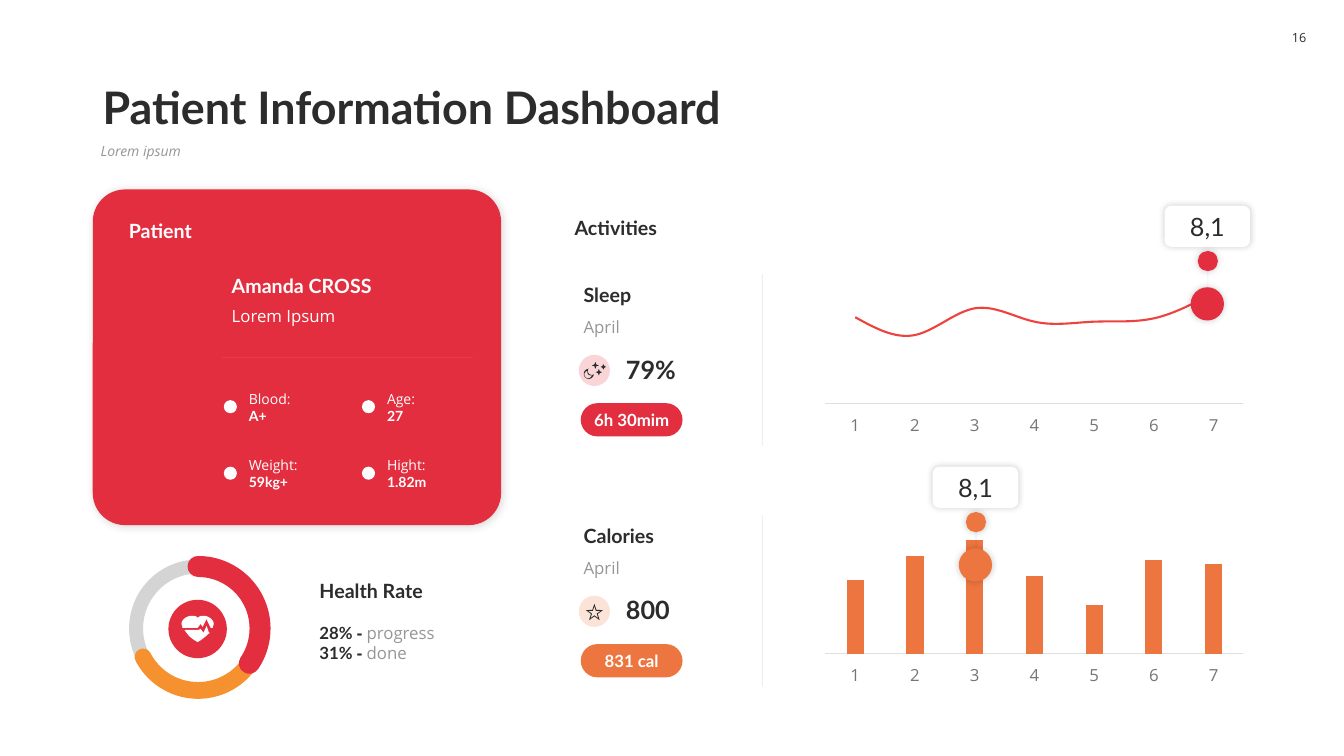
import math
from dataclasses import dataclass

from lxml import etree
from pptx import Presentation
from pptx.chart.data import CategoryChartData
from pptx.dml.color import RGBColor
from pptx.enum.chart import XL_CHART_TYPE, XL_TICK_LABEL_POSITION, XL_TICK_MARK
from pptx.enum.shapes import MSO_CONNECTOR, MSO_SHAPE
from pptx.enum.text import MSO_ANCHOR, PP_ALIGN
from pptx.oxml import parse_xml
from pptx.oxml.ns import qn
from pptx.util import Pt

PX = 9144  # EMU in one px, 100 px to the inch
LEFT, CENTER = PP_ALIGN.LEFT, PP_ALIGN.CENTER
TOP, MIDDLE, BOTTOM = MSO_ANCHOR.TOP, MSO_ANCHOR.MIDDLE, MSO_ANCHOR.BOTTOM
ROUNDED, OVAL, ARC = MSO_SHAPE.ROUNDED_RECTANGLE, MSO_SHAPE.OVAL, MSO_SHAPE.ARC
LINE, COLUMN = XL_CHART_TYPE.LINE, XL_CHART_TYPE.COLUMN_CLUSTERED
STRAIGHT = MSO_CONNECTOR.STRAIGHT
NO_TICK, LOW = XL_TICK_MARK.NONE, XL_TICK_LABEL_POSITION.LOW
DRAWING = "http://schemas.openxmlformats.org/drawingml/2006/main"
CHART = "http://schemas.openxmlformats.org/drawingml/2006/chart"


@dataclass(frozen=True)
class Theme:
    red: str = "E22E3F"
    curve: str = "EE423E"
    orange: str = "ED753F"
    amber: str = "F5922F"
    dark: str = "2C2C2C"
    grey: str = "969696"
    label: str = "767676"
    axis: str = "DFDFDF"
    white: str = "FFFFFF"
    heading: str = "Lato"
    body: str = "Open Sans"
    title: int = 32
    value: int = 18
    section: int = 14
    text: int = 12
    small: int = 10
    page: int = 9


THEME = Theme()


def run(text, size, color=THEME.dark, font=THEME.heading, bold=False, italic=False):
    return text, size, color, font, bold, italic


def write(shape, paragraphs, anchor=TOP, align=LEFT, spacing=None):
    frame = shape.text_frame
    frame.word_wrap = True
    frame.vertical_anchor = anchor
    for index, runs in enumerate(paragraphs):
        paragraph = frame.add_paragraph() if index else frame.paragraphs[0]
        paragraph.alignment = align
        paragraph.line_spacing = spacing
        for text, size, color, font, bold, italic in runs:
            part = paragraph.add_run()
            part.text = text
            part.font.size, part.font.name = Pt(size), font
            part.font.bold, part.font.italic = bold, italic
            part.font.color.rgb = RGBColor.from_string(color)


def add_text(slide, box, *paragraphs, anchor=TOP, spacing=None):
    write(slide.shapes.add_textbox(*(n * PX for n in box)), paragraphs, anchor, spacing=spacing)


def set_alpha(parent, percent):
    color = next(parent.iter(qn("a:srgbClr")))
    etree.SubElement(color, qn("a:alpha"), val=str(percent * 1000))


def add_shadow(shape, percent, blur, distance):
    effects = shape.element.spPr.find(qn("a:effectLst"))
    effects.append(parse_xml(
        f'<a:outerShdw xmlns:a="{DRAWING}" blurRad="{Pt(blur)}" dist="{Pt(distance)}" dir="2700000">'
        f'<a:srgbClr val="000000"><a:alpha val="{percent * 1000}"/></a:srgbClr></a:outerShdw>'))


def add_solid(slide, kind, box, color, corner=None, alpha=None):
    shape = slide.shapes.add_shape(kind, *(n * PX for n in box))
    shape.shadow.inherit = False
    shape.fill.solid()
    shape.fill.fore_color.rgb = RGBColor.from_string(color)
    shape.line.fill.background()
    if corner is not None:
        shape.adjustments[0] = corner
    if alpha:
        set_alpha(shape.element.spPr, alpha)
    return shape


def add_stroke(slide, kind, box, color, width):
    shape = slide.shapes.add_shape(kind, *(n * PX for n in box))
    shape.shadow.inherit = False
    shape.fill.background()
    shape.line.color.rgb = RGBColor.from_string(color)
    shape.line.width = Pt(width)
    return shape


def add_hairline(slide, x1, y1, x2, y2, color):
    line = slide.shapes.add_connector(STRAIGHT, x1 * PX, y1 * PX, x2 * PX, y2 * PX)
    line.line.color.rgb = RGBColor.from_string(color)
    line.line.width = Pt(0.5)
    set_alpha(line.element.spPr, 10)
    etree.SubElement(line.element.spPr, qn("a:effectLst"))


def add_outline(slide, left, top, color, *contours):
    """Fill closed contours whose points are px offsets from left, top."""
    fine = [[((left + x) * 100, (top + y) * 100) for x, y in points] for points in contours]
    builder = slide.shapes.build_freeform(*fine[0][0], scale=PX / 100)
    for index, points in enumerate(fine):
        if index:
            builder.move_to(*points[0])
        builder.add_line_segments(points[1:], close=True)
    shape = builder.convert_to_shape()
    shape.shadow.inherit = False
    shape.fill.solid()
    shape.fill.fore_color.rgb = RGBColor.from_string(color)
    shape.line.fill.background()


def bend(segments, steps=8):
    """Turn points and six-number Bézier segments into plain points."""
    points = []
    for segment in segments:
        if len(segment) == 2:
            points.append(segment)
            continue
        corners = [points[-1], segment[:2], segment[2:4], segment[4:]]
        for step in range(1, steps + 1):
            t = step / steps
            weights = [(1 - t) ** 3, 3 * t * (1 - t) ** 2, 3 * t * t * (1 - t), t ** 3]
            points.append(tuple(sum(w * c[axis] for w, c in zip(weights, corners)) for axis in (0, 1)))
    return points


def arc_points(x, y, radius, start, end, steps=16):
    angles = [math.radians(start + (end - start) * i / steps) for i in range(steps + 1)]
    return [(x + radius * math.cos(a), y + radius * math.sin(a)) for a in angles]


def star_points(x, y, tips, outer, inner):
    return [arc_points(x, y, inner if i % 2 else outer, i * 180 / tips - 90, 0, 1)[0]
            for i in range(tips * 2)]


def moon_icon(slide, left, top):
    moon = arc_points(10, 19, 5, 5, 270) + arc_points(13, 16, 4, 214, 63)
    hollow = [(7.5 + (x - 7.5) * 0.75, 21.5 + (y - 21.5) * 0.75) for x, y in moon]
    add_outline(slide, left, top, THEME.dark, moon, hollow)
    for x, y, radius in ((24.5, 12, 2.7), (16.5, 10.5, 3.5), (20, 17.3, 3.3)):
        add_outline(slide, left, top, THEME.dark, star_points(x, y, 4, radius, 1.3))


def star_icon(slide, left, top):
    add_outline(slide, left, top, THEME.dark,
                star_points(15.5, 17, 5, 9, 3.5), star_points(15.5, 17, 5, 6.6, 2.5))


def header(slide, left, top):
    add_text(slide, (left, top + 80, 1152, 36),
             [run("Lorem ipsum", THEME.small, THEME.grey, THEME.body, italic=True)], spacing=0.9)
    add_text(slide, (left + 2, top, 1150, 80),
             [run("Patient Information Dashboard", THEME.title, bold=True)], anchor=BOTTOM, spacing=0.9)
    number = add_solid(slide, ROUNDED, (1269, 18, 39, 39), THEME.white)
    number.text_frame.margin_left = number.text_frame.margin_right = 0
    write(number, [[run("16", THEME.page, font=THEME.body)]], MIDDLE, CENTER)


def patient_card(slide, left, top, width, height):
    card = add_solid(slide, ROUNDED, (left, top, width, height), THEME.red, 0.096)
    add_shadow(card, 15, 6, 1)
    for x, y, name in ((26, 23, "Patient"), (128, 78, "Amanda CROSS")):
        add_text(slide, (left + x, top + y, 259, 34),
                 [run(name, THEME.section, THEME.white, bold=True)], anchor=BOTTOM)
    add_text(slide, (left + 128, top + 110, 259, 30),
             [run("Lorem Ipsum", THEME.text, THEME.white, THEME.body)])
    add_hairline(slide, left + 128, top + 167, left + 377, top + 167, THEME.white)
    facts = (("Blood:", "A+"), ("Age:", "27"), ("Weight:", "59kg+"), ("Hight:", "1.82m"))
    for index, (name, value) in enumerate(facts):
        x, y = left + 130 + index % 2 * 137, top + 194 + index // 2 * 66
        add_solid(slide, OVAL, (x, y + 15, 13, 13), THEME.white)
        add_text(slide, (x + 15, y, 95, 44), [run(name, THEME.small, THEME.white, THEME.body)],
                 [run(value, THEME.small, THEME.white, bold=True)], anchor=MIDDLE)


def health_rate(slide, left, top, size):
    ring = (left, top, size, size)
    track = add_stroke(slide, OVAL, ring, THEME.dark, 10)
    set_alpha(track.element.spPr, 20)
    add_solid(slide, OVAL, (left + 32, top + 33, 58, 58), THEME.red)
    for color, width, start, end in ((THEME.amber, 12, 33.6, 152.6), (THEME.red, 15, 270, 34.2)):
        arc = add_stroke(slide, ARC, ring, color, width)
        arc.adjustments[0], arc.adjustments[1] = start * 0.6, end * 0.6
        arc.element.spPr.find(qn("a:ln")).set("cap", "rnd")
    lower = [(25, 10), (27, 16), (28, 17), (25, 19, 22, 23, 16, 26), (8, 22, 5, 17, 3, 14),
             (17, 14), (19, 13), (22, 17), (23, 14)]
    upper = [(10, 0), (12, 0, 15, 0, 16, 2), (18, 0, 20, 0, 22, 0), (27, 0, 32, 4, 32, 8),
             (32, 10, 31, 10, 31, 12), (29, 12), (26, 6), (25, 3), (21, 11), (19, 8), (16, 12),
             (1, 12), (1, 10, 0, 9, 0, 8), (0, 4, 5, 0, 10, 0)]
    add_outline(slide, left + 45, top + 49, THEME.white, bend(lower), bend(upper))
    add_text(slide, (left + 172, top + 7, 172, 34),
             [run("Health Rate", THEME.section, bold=True)], anchor=BOTTOM)
    rates = [[run(rate, THEME.text, bold=True), run("- ", THEME.text, font=THEME.body, bold=True),
              run(state, THEME.text, THEME.grey, THEME.body)]
             for rate, state in (("28% ", "progress"), ("31% ", "done"))]
    add_text(slide, (left + 172, top + 51, 172, 50), *rates)


def activity(slide, left, top, name, value, badge, color, icon):
    add_text(slide, (left, top, 166, 34), [run(name, THEME.section, bold=True)], anchor=BOTTOM)
    add_text(slide, (left, top + 34, 166, 30), [run("April", THEME.text, THEME.grey, THEME.body)])
    add_solid(slide, OVAL, (left + 5, top + 77, 31, 31), color, alpha=20)
    icon(slide, left + 5, top + 77)
    add_text(slide, (left + 42, top + 71, 124, 40), [run(value, THEME.value, bold=True)], anchor=BOTTOM)
    pill = add_solid(slide, ROUNDED, (left + 7, top + 125, 101, 33), color, 0.5)
    frame = pill.text_frame
    frame.margin_left = frame.margin_right = frame.margin_top = frame.margin_bottom = 0
    write(pill, [[run(badge, THEME.text, THEME.white, bold=True)]], MIDDLE, CENTER)
    add_hairline(slide, left + 187, top + 167, left + 187, top - 3, THEME.dark)


def trend_chart(slide, left, top, kind, values, color, minimum, plot_top, plot_height):
    """Add a chart; plot_top and plot_height are shares of its height."""
    data = CategoryChartData()
    data.categories = [str(day) for day in range(1, 8)]
    data.add_series("Series 1", values)
    chart = slide.shapes.add_chart(kind, left * PX, top * PX, 432 * PX, 158 * PX, data).chart
    chart.has_legend = chart.has_title = False
    chart.font.size, chart.font.name = Pt(THEME.text), THEME.body
    chart.font.color.rgb = RGBColor.from_string(THEME.dark)
    scale, days = chart.value_axis, chart.category_axis
    scale.minimum_scale, scale.maximum_scale = minimum, 100
    scale.has_major_gridlines = scale.visible = False
    days.major_tick_mark, days.tick_label_position = NO_TICK, LOW
    days.tick_labels.font.size, days.tick_labels.font.name = Pt(THEME.text), THEME.body
    days.tick_labels.font.color.rgb = RGBColor.from_string(THEME.label)
    days.format.line.color.rgb = RGBColor.from_string(THEME.axis)
    days.format.line.width = Pt(0.75)
    plot = chart.plots[0]
    plot.vary_by_categories = False
    series = plot.series[0]
    if kind == LINE:
        series.smooth = True
        series.format.line.color.rgb = RGBColor.from_string(color)
        series.format.line.width = Pt(1.5)
    else:
        plot.gap_width = 250
        series.format.fill.solid()
        series.format.fill.fore_color.rgb = RGBColor.from_string(color)
    area = plot._element.getparent()
    for old in area.findall(qn("c:layout")):
        area.remove(old)
    area.insert(0, parse_xml(
        f'<c:layout xmlns:c="{CHART}"><c:manualLayout><c:layoutTarget val="inner"/>'
        f'<c:xMode val="edge"/><c:yMode val="edge"/><c:x val="0.02"/><c:y val="{plot_top}"/>'
        f'<c:w val="0.96"/><c:h val="{plot_height}"/></c:manualLayout></c:layout>'))


def callout(slide, left, top, color):
    for x, y, size in ((26, 81, 33), (33, 45, 20)):
        add_shadow(add_solid(slide, OVAL, (left + x, top + y, size, size), color), 20, 5, 0)
    add_hairline(slide, left + 43, top + 65, left + 43, top + 81, THEME.dark)
    tag = add_solid(slide, ROUNDED, (left, top, 85, 41), THEME.white)
    add_shadow(tag, 20, 5, 0)
    write(tag, [[run("8,1", THEME.value)]], MIDDLE, CENTER)


def main():
    presentation = Presentation()
    presentation.slide_width, presentation.slide_height = 1333 * PX, 750 * PX
    slide = presentation.slides.add_slide(presentation.slide_layouts[6])
    header(slide, 90, 58)
    patient_card(slide, 92, 188, 405, 333)
    health_rate(slide, 135, 562, 123)
    add_text(slide, (560, 208, 381, 34), [run("Activities", THEME.section, bold=True)], anchor=BOTTOM)
    activity(slide, 569, 275, "Sleep", "79%", "6h 30mim", THEME.red, moon_icon)
    trend_chart(slide, 810, 275, LINE, (78, 62, 86, 74, 74, 77, 100), THEME.curve, 0, 0.1, 0.71)
    callout(slide, 1155, 204, THEME.red)
    activity(slide, 569, 514, "Calories", "800", "831 cal", THEME.orange, star_icon)
    trend_chart(slide, 810, 523, COLUMN, (90, 96, 100, 91, 84, 95, 94), THEME.orange, 72, 0.08, 0.72)
    callout(slide, 925, 463, THEME.orange)
    presentation.save("out.pptx")


if __name__ == "__main__":
    main()
